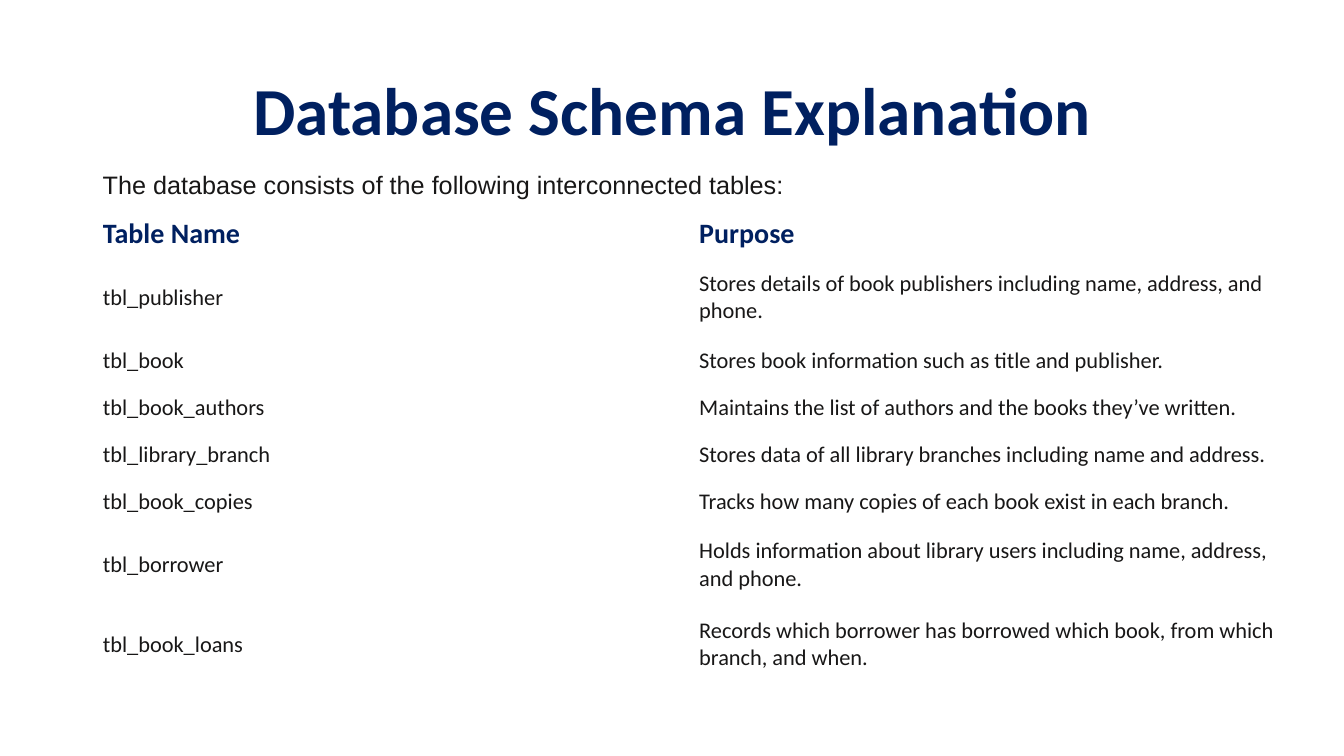
import pptx
import pptx.util
import pptx.dml.color
import pptx.enum.text

SLIDE_WIDTH, SLIDE_HEIGHT = 13.33, 7.5
NAVY, INK = "002060", "181717"
LEFT = 0.92
TITLE_BOX = (LEFT, 0.4, 11.5, 1.45)
INTRO_BOX = (LEFT, 1.62, 7.02, 0.41)
TABLE_BOX = (LEFT, 2.09, 11.83, 4.7)
SINGLE_LINE, DOUBLE_LINE = 0.466, 0.79

TITLE_FORMAT = {"name": "Calibri", "size": pptx.util.Pt(48), "bold": True}
INTRO_FORMAT = {"name": "Arial", "size": pptx.util.Pt(18), "bold": False}
HEADER_FORMAT = {"name": "Calibri", "size": pptx.util.Pt(20), "bold": True}
ENTRY_FORMAT = {"name": "Calibri", "size": pptx.util.Pt(16), "bold": False}

SCHEMA = [
    ("Table Name", "Purpose", SINGLE_LINE),
    ("tbl_publisher", "Stores details of book publishers including name, address, and phone.", DOUBLE_LINE),
    ("tbl_book", "Stores book information such as title and publisher.", SINGLE_LINE),
    ("tbl_book_authors", "Maintains the list of authors and the books they’ve written.", SINGLE_LINE),
    ("tbl_library_branch", "Stores data of all library branches including name and address.", SINGLE_LINE),
    ("tbl_book_copies", "Tracks how many copies of each book exist in each branch.", SINGLE_LINE),
    ("tbl_borrower", "Holds information about library users including name, address, and phone.", DOUBLE_LINE),
    ("tbl_book_loans", "Records which borrower has borrowed which book, from which branch, and when.", DOUBLE_LINE),
]


def set_values(target, values):
    """Set each named attribute of the target."""
    for name, value in values.items():
        setattr(target, name, value)


def to_lengths(box):
    """Turn a box in inches into slide lengths."""
    return [pptx.util.Inches(length) for length in box]


def write_text(frame, text, font_format, color):
    """Write one formatted paragraph and return it."""
    para = frame.paragraphs[0]
    span = para.add_run()
    span.text = text
    set_values(span.font, font_format)
    span.font.color.rgb = pptx.dml.color.RGBColor.from_string(color)
    return para


def add_title(page, box):
    """Place the heading in the title placeholder."""
    title = page.shapes.title
    set_values(title, dict(zip(("left", "top", "width", "height"), to_lengths(box))))
    set_values(title.text_frame, {
        "vertical_anchor": pptx.enum.text.MSO_ANCHOR.MIDDLE,
        "auto_size": pptx.enum.text.MSO_AUTO_SIZE.NONE,
        "word_wrap": True,
    })
    para = write_text(title.text_frame, "Database Schema Explanation", TITLE_FORMAT, NAVY)
    set_values(para, {"alignment": pptx.enum.text.PP_ALIGN.CENTER, "line_spacing": 0.9})


def add_intro(page, box):
    """Place the sentence that introduces the table."""
    frame = page.shapes.add_textbox(*to_lengths(box)).text_frame
    set_values(frame, {
        "vertical_anchor": pptx.enum.text.MSO_ANCHOR.MIDDLE,
        "word_wrap": False,
    })
    write_text(frame, "The database consists of the following interconnected tables:", INTRO_FORMAT, INK)


def add_schema_table(page, box):
    """Place the table of names and purposes in two equal columns."""
    table = page.shapes.add_table(len(SCHEMA), 2, *to_lengths(box)).table
    set_values(table, {"first_row": False, "horz_banding": False})
    for column in table.columns:
        column.width = pptx.util.Inches(box[2] / 2)
    for index, (name, purpose, height) in enumerate(SCHEMA):
        table.rows[index].height = pptx.util.Inches(height)
        font_format, color = (ENTRY_FORMAT, INK) if index else (HEADER_FORMAT, NAVY)
        for cell, text in zip(table.rows[index].cells, (name, purpose)):
            cell.fill.background()
            cell.vertical_anchor = pptx.enum.text.MSO_ANCHOR.MIDDLE
            write_text(cell.text_frame, text, font_format, color)


def main():
    """Build and save the schema slide."""
    deck = pptx.Presentation()
    deck.slide_width = pptx.util.Inches(SLIDE_WIDTH)
    deck.slide_height = pptx.util.Inches(SLIDE_HEIGHT)
    page = deck.slides.add_slide(deck.slide_layouts.get_by_name("Title Only"))
    add_title(page, TITLE_BOX)
    add_intro(page, INTRO_BOX)
    add_schema_table(page, TABLE_BOX)
    deck.save("out.pptx")


if __name__ == "__main__":
    main()
